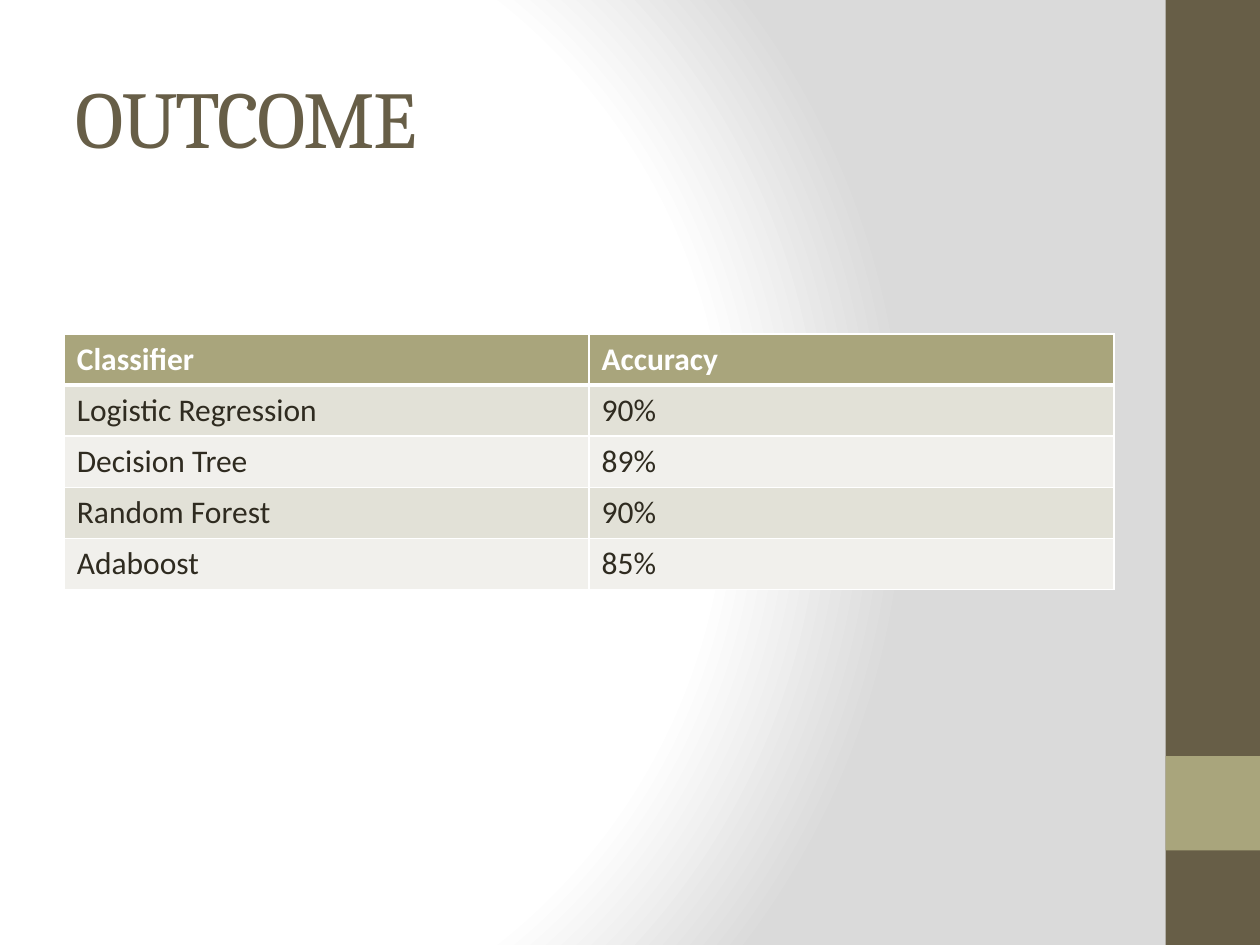
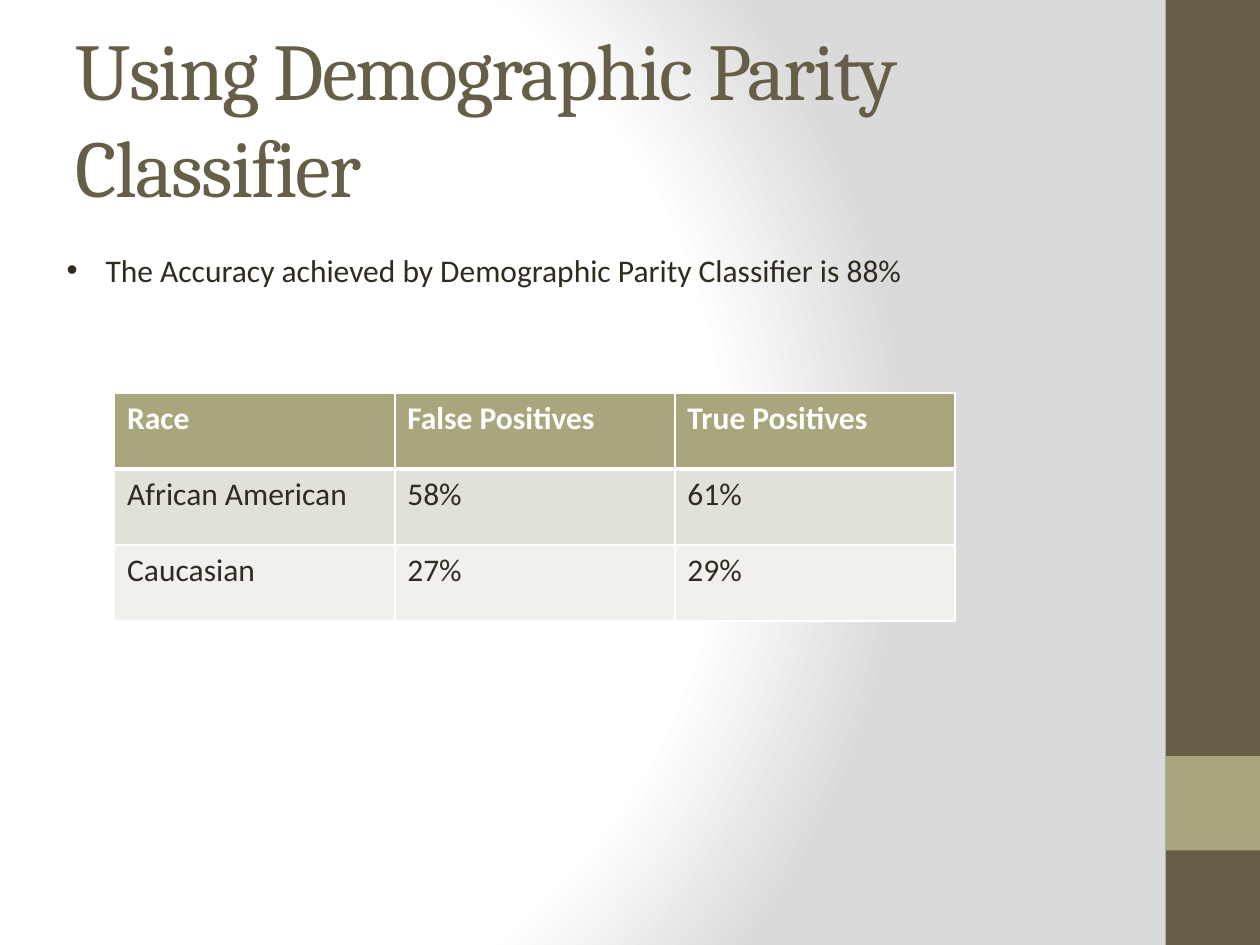
from lxml.etree import SubElement
from pptx import Presentation
from pptx.dml.color import RGBColor
from pptx.enum.shapes import MSO_SHAPE
from pptx.enum.text import MSO_ANCHOR, MSO_AUTO_SIZE, PP_ALIGN
from pptx.oxml import parse_xml
from pptx.oxml.ns import nsdecls, qn
from pptx.util import Inches, Pt

# Content
SLIDES = [
    {
        "title": "OUTCOME",
        "table_box": (0.51, 2.65, 8.33, 2.03),
        "rows": [
            ("Classifier", "Accuracy"),
            ("Logistic Regression", "90%"),
            ("Decision Tree", "89%"),
            ("Random Forest", "90%"),
            ("Adaboost", "85%"),
        ],
    },
    {
        "title": "Using Demographic Parity Classifier",
        "bullet": "The Accuracy achieved by Demographic Parity Classifier is 88%",
        "table_box": (0.91, 3.12, 6.67, 1.81),
        "rows": [
            ("Race", "False Positives", "True Positives"),
            ("African American", "58%", "61%"),
            ("Caucasian", "27%", "29%"),
        ],
    },
]

# Shared style
BROWN, OLIVE, INK, WHITE = "675E47", "A9A57C", "2F2B20", "FFFFFF"
ROW_FILLS = ("E2E1D7", "F1F0EC")
BACKGROUND_STOPS = ((0, WHITE), (75, WHITE), (100, "DADADA"))
TITLE_BOX = (0.5, 0.3, 8.33, 1.25)
BULLET_BOX = (0.43, 1.94, 8.43, 0.4)
BULLET_INDENT = 0.31
SIDE_BANDS = (((9.25, 0, 0.75, 7.5), BROWN), ((9.25, 6, 0.75, 0.75), OLIVE))


def color(value):
    return RGBColor.from_string(value)


def inches(box):
    return [Inches(length) for length in box]


def write_text(frame, text, font="Calibri", size=18, ink=INK, bold=False, spacing=None):
    paragraph = frame.paragraphs[0]
    paragraph.alignment = PP_ALIGN.LEFT
    run = paragraph.add_run()
    run.text = text
    run.font.name = font
    run.font.size = Pt(size)
    run.font.bold = bold
    run.font.color.rgb = color(ink)
    if spacing is not None:
        run.font._element.set("spc", str(spacing * 100))
    return paragraph


def set_background(master):
    master.background.fill.solid()
    properties = master.element.find(".//" + qn("p:bgPr"))
    stops = "".join(
        f'<a:gs pos="{position * 1000}"><a:srgbClr val="{value}"/></a:gs>'
        for position, value in BACKGROUND_STOPS
    )
    gradient = parse_xml(
        f'<a:gradFill {nsdecls("a")} rotWithShape="1"><a:gsLst>{stops}</a:gsLst>'
        '<a:path path="circle"><a:fillToRect l="20000" t="50000" r="100000" b="50000"/>'
        "</a:path></a:gradFill>"
    )
    properties.replace(properties.find(qn("a:solidFill")), gradient)


def add_bands(slide):
    for box, fill in SIDE_BANDS:
        band = slide.shapes.add_shape(MSO_SHAPE.RECTANGLE, *inches(box))
        band.shadow.inherit = False
        band.fill.solid()
        band.fill.fore_color.rgb = color(fill)
        band.line.fill.background()


def add_title(slide, text):
    title = slide.shapes.title
    title.left, title.top, title.width, title.height = inches(TITLE_BOX)
    frame = title.text_frame
    frame.auto_size = MSO_AUTO_SIZE.NONE
    frame.vertical_anchor = MSO_ANCHOR.MIDDLE
    write_text(frame, text, font="Cambria", size=46, ink=BROWN, spacing=-1)


def add_bullet(slide, text):
    frame = slide.shapes.add_textbox(*inches(BULLET_BOX)).text_frame
    frame.word_wrap = True
    frame.auto_size = MSO_AUTO_SIZE.SHAPE_TO_FIT_TEXT
    properties = write_text(frame, text)._p.get_or_add_pPr()
    properties.set("marL", str(Inches(BULLET_INDENT)))
    properties.set("indent", str(-Inches(BULLET_INDENT)))
    SubElement(properties, qn("a:buFont"), typeface="Arial")
    SubElement(properties, qn("a:buChar"), char="•")


def set_borders(cell, **widths):
    properties = cell._tc.get_or_add_tcPr()
    for index, side in enumerate("LRTB"):
        width = Pt(widths.get(side, 1))
        line = parse_xml(
            f'<a:ln{side} {nsdecls("a")} w="{width}"><a:solidFill>'
            f'<a:srgbClr val="{WHITE}"/></a:solidFill></a:ln{side}>'
        )
        properties.insert(index, line)


def add_table(slide, rows, box):
    left, top, width, height = inches(box)
    row_count, column_count = len(rows), len(rows[0])
    table = slide.shapes.add_table(row_count, column_count, left, top, width, height).table
    for column in table.columns:
        column.width = width // column_count
    for row in table.rows:
        row.height = height // row_count
    for row_index, values in enumerate(rows):
        header = row_index == 0
        # The thick rule runs between the header and the first data row
        borders = {0: {"B": 3}, 1: {"T": 3}}.get(row_index, {})
        for column_index, value in enumerate(values):
            cell = table.cell(row_index, column_index)
            cell.fill.solid()
            cell.fill.fore_color.rgb = color(OLIVE if header else ROW_FILLS[(row_index - 1) % 2])
            set_borders(cell, **borders)
            write_text(cell.text_frame, value, ink=WHITE if header else INK, bold=header)


def main():
    presentation = Presentation()
    presentation.slide_width, presentation.slide_height = Inches(10), Inches(7.5)
    set_background(presentation.slide_master)
    title_only = presentation.slide_layouts[5]
    for content in SLIDES:
        slide = presentation.slides.add_slide(title_only)
        add_bands(slide)
        add_title(slide, content["title"])
        if "bullet" in content:
            add_bullet(slide, content["bullet"])
        add_table(slide, content["rows"], content["table_box"])
    presentation.save("out.pptx")


if __name__ == "__main__":
    main()
